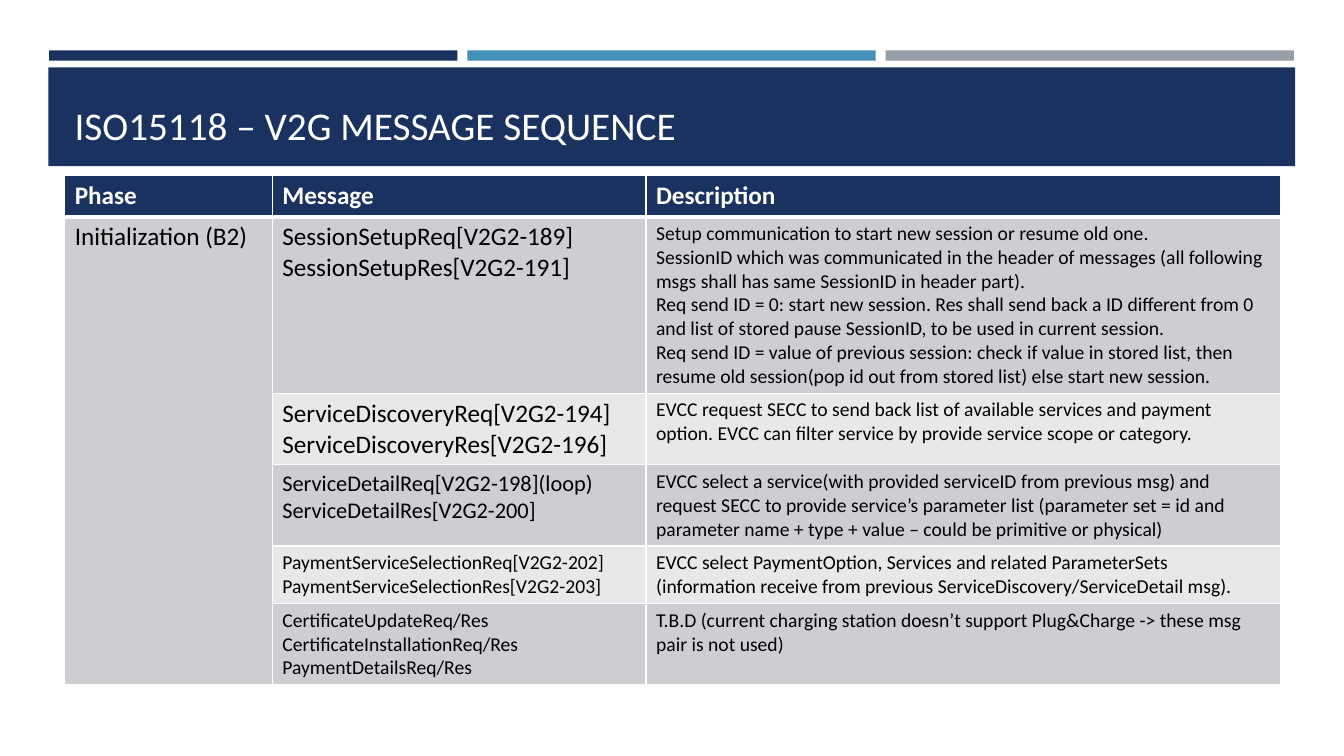
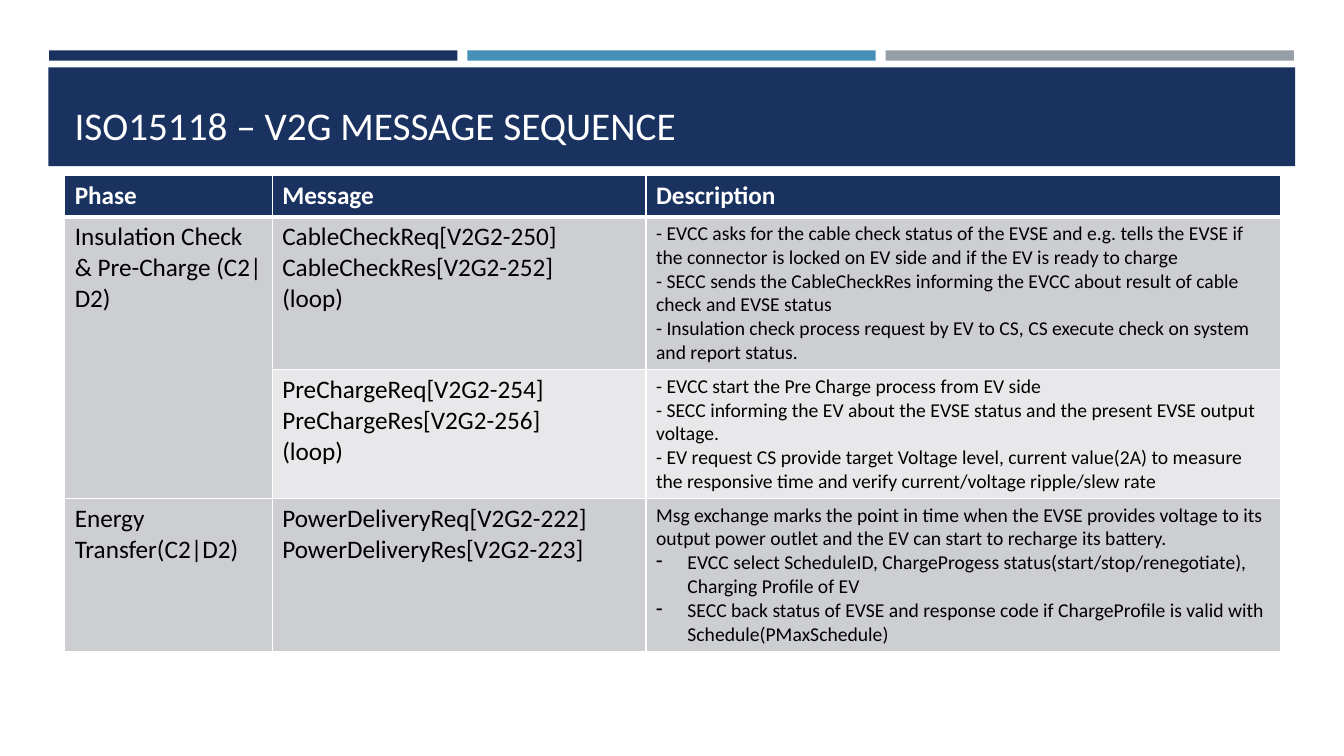
from lxml.etree import SubElement
from pptx import Presentation
from pptx.dml.color import RGBColor as RGB
from pptx.enum.shapes import MSO_SHAPE as Shape
from pptx.enum.text import MSO_ANCHOR as Anchor
from pptx.oxml.ns import qn
from pptx.util import Cm, Pt

COLORS = {"navy": "1A3260", "blue": "4590B8", "gray": "969FA7", "white": "FFFFFF",
          "black": "000000", "dark_row": "CDCED2", "light_row": "E8E8EA"}
FONT = "Calibri"
TITLE = "ISO15118 – V2G MESSAGE SEQUENCE"
HEADINGS = ["Phase", "Message", "Description"]
COLUMN_WIDTHS = [5.23, 9.42, 15.98]
HEADER_HEIGHT = 1.04
BULLET = "-\t"  # lines that start with this become bulleted paragraphs

# Each row: phase (empty continues the one above), message size, messages,
# description, row height in cm
SEQUENCES = [
    [
        ("Initialization (B2)", 18,
         ["SessionSetupReq[V2G2-189]", "SessionSetupRes[V2G2-191]"],
         ["Setup communication to start new session or resume old one.",
          "SessionID which was communicated in the header of messages (all following "
          "msgs shall has same SessionID in header part).",
          "Req send ID = 0: start new session. Res shall send back a ID different from 0 "
          "and list of stored pause SessionID, to be used in current session.",
          "Req send ID = value of previous session: check if value in stored list, then "
          "resume old session(pop id out from stored list) else start new session."],
         4.45),
        ("", 18,
         ["ServiceDiscoveryReq[V2G2-194]", "ServiceDiscoveryRes[V2G2-196]"],
         ["EVCC request SECC to send back list of available services and payment "
          "option. EVCC can filter service by provide service scope or category."],
         1.8),
        ("", 16,
         ["ServiceDetailReq[V2G2-198](loop)", "ServiceDetailRes[V2G2-200]"],
         ["EVCC select a service(with provided serviceID from previous msg) and "
          "request SECC to provide service’s parameter list (parameter set = id and "
          "parameter name + type + value – could be primitive or physical)"],
         2.05),
        ("", 14,
         ["PaymentServiceSelectionReq[V2G2-202]", "PaymentServiceSelectionRes[V2G2-203]"],
         ["EVCC select PaymentOption, Services and related ParameterSets "
          "(information receive from previous ServiceDiscovery/ServiceDetail msg)."],
         1.45),
        ("", 14,
         ["CertificateUpdateReq/Res", "CertificateInstallationReq/Res",
          "PaymentDetailsReq/Res"],
         ["T.B.D (current charging station doesn’t support Plug&Charge -> these msg "
          "pair is not used)"],
         2.05),
    ],
    [
        ("Insulation Check & Pre-Charge (C2|D2)", 18,
         ["CableCheckReq[V2G2-250]", "CableCheckRes[V2G2-252]", "(loop)"],
         ["- EVCC asks for the cable check status of the EVSE and e.g. tells the EVSE if "
          "the connector is locked on EV side and if the EV is ready to charge",
          "- SECC sends the CableCheckRes informing the EVCC about result of cable "
          "check and EVSE status",
          "- Insulation check process request by EV to CS, CS execute check on system "
          "and report status."],
         3.85),
        ("", 18,
         ["PreChargeReq[V2G2-254]", "PreChargeRes[V2G2-256]", "(loop)"],
         ["- EVCC start the Pre Charge process from EV side",
          "- SECC informing the EV about the EVSE status and the present EVSE output "
          "voltage.",
          "- EV request CS provide target Voltage level, current value(2A) to measure "
          "the responsive time and verify current/voltage ripple/slew rate"],
         3.25),
        ("Energy Transfer(C2|D2)", 18,
         ["PowerDeliveryReq[V2G2-222]", "PowerDeliveryRes[V2G2-223]"],
         ["Msg exchange marks the point in time when the EVSE provides voltage to its "
          "output power outlet and the EV can start to recharge its battery.",
          BULLET + "EVCC select ScheduleID, ChargeProgess status(start/stop/renegotiate), "
          "Charging Profile of EV",
          BULLET + "SECC back status of EVSE and response code if ChargeProfile is valid "
          "with Schedule(PMaxSchedule)"],
         3.85),
    ],
]


def write_text(frame, lines, size=18, color="black", bold=False):
    """Fill a text frame with one paragraph per line."""
    for index, line in enumerate(lines):
        paragraph = frame.add_paragraph() if index else frame.paragraphs[0]
        run = paragraph.add_run()
        run.text = line.removeprefix(BULLET)
        run.font.name, run.font.size, run.font.bold = FONT, Pt(size), bold
        run.font.color.rgb = RGB.from_string(COLORS[color])
        if line.startswith(BULLET):
            properties = paragraph._p.get_or_add_pPr()
            properties.set("marL", str(Cm(0.79)))
            properties.set("indent", str(Cm(-0.79)))
            SubElement(properties, qn("a:buChar"), char="-")


def style_cell(cell, fill, top=1, bottom=1):
    """Give a cell its fill and white borders, with widths in points."""
    properties = cell._tc.get_or_add_tcPr()
    for side, width in (("L", 1), ("R", 1), ("T", top), ("B", bottom)):
        border = SubElement(properties, qn(f"a:ln{side}"), w=str(Pt(width)))
        SubElement(SubElement(border, qn("a:solidFill")), qn("a:srgbClr"),
                   val=COLORS["white"])
    cell.fill.solid()
    cell.fill.fore_color.rgb = RGB.from_string(COLORS[fill])


prs = Presentation()
prs.slide_width, prs.slide_height = Cm(33.87), Cm(19.05)

# Three thin stripes above the title band: left, top, width, height, color
bands = [(1.24 + 10.54 * i, 1.27, 10.29, 0.26, color)
         for i, color in enumerate(["navy", "blue", "gray"])]
bands.append((1.22, 1.7, 31.42, 2.49, "navy"))

for sequence in SEQUENCES:
    slide = prs.slides.add_slide(prs.slide_layouts[6])

    for *box, color in bands:
        band = slide.shapes.add_shape(Shape.RECTANGLE, *map(Cm, box))
        band.shadow.inherit = False
        band.fill.solid()
        band.fill.fore_color.rgb = RGB.from_string(COLORS[color])
        band.line.fill.background()

    title = slide.shapes.add_textbox(Cm(1.63), Cm(1.96), Cm(30.63), Cm(1.9)).text_frame
    title.word_wrap = True
    title.vertical_anchor = Anchor.BOTTOM
    write_text(title, [TITLE], size=28, color="white")

    heights = [HEADER_HEIGHT] + [row[-1] for row in sequence]
    table = slide.shapes.add_table(len(heights), len(HEADINGS), Cm(1.63), Cm(4.42),
                                   Cm(sum(COLUMN_WIDTHS)), Cm(sum(heights))).table
    for column, width in zip(table.columns, COLUMN_WIDTHS):
        column.width = Cm(width)
    for table_row, height in zip(table.rows, heights):
        table_row.height = Cm(height)

    for column, heading in enumerate(HEADINGS):
        cell = table.cell(0, column)
        style_cell(cell, "navy", bottom=3)
        write_text(cell.text_frame, [heading], color="white", bold=True)

    phase_starts = [i for i, row in enumerate(sequence, 1) if row[0]]
    phase_ends = [start - 1 for start in phase_starts[1:]] + [len(sequence)]
    for start, end in zip(phase_starts, phase_ends):
        if end > start:
            table.cell(start, 0).merge(table.cell(end, 0))

    for number, (phase, message_size, messages, description, _) in enumerate(sequence, 1):
        phase_cell, message_cell, description_cell = table.rows[number].cells
        row_fill = "dark_row" if number % 2 else "light_row"
        top = 3 if number == 1 else 1
        style_cell(phase_cell, "dark_row", top=top)
        style_cell(message_cell, row_fill, top=top)
        style_cell(description_cell, row_fill, top=top)
        if phase:
            write_text(phase_cell.text_frame, [phase])
        write_text(message_cell.text_frame, messages, size=message_size)
        write_text(description_cell.text_frame, description, size=14)

prs.save("out.pptx")
